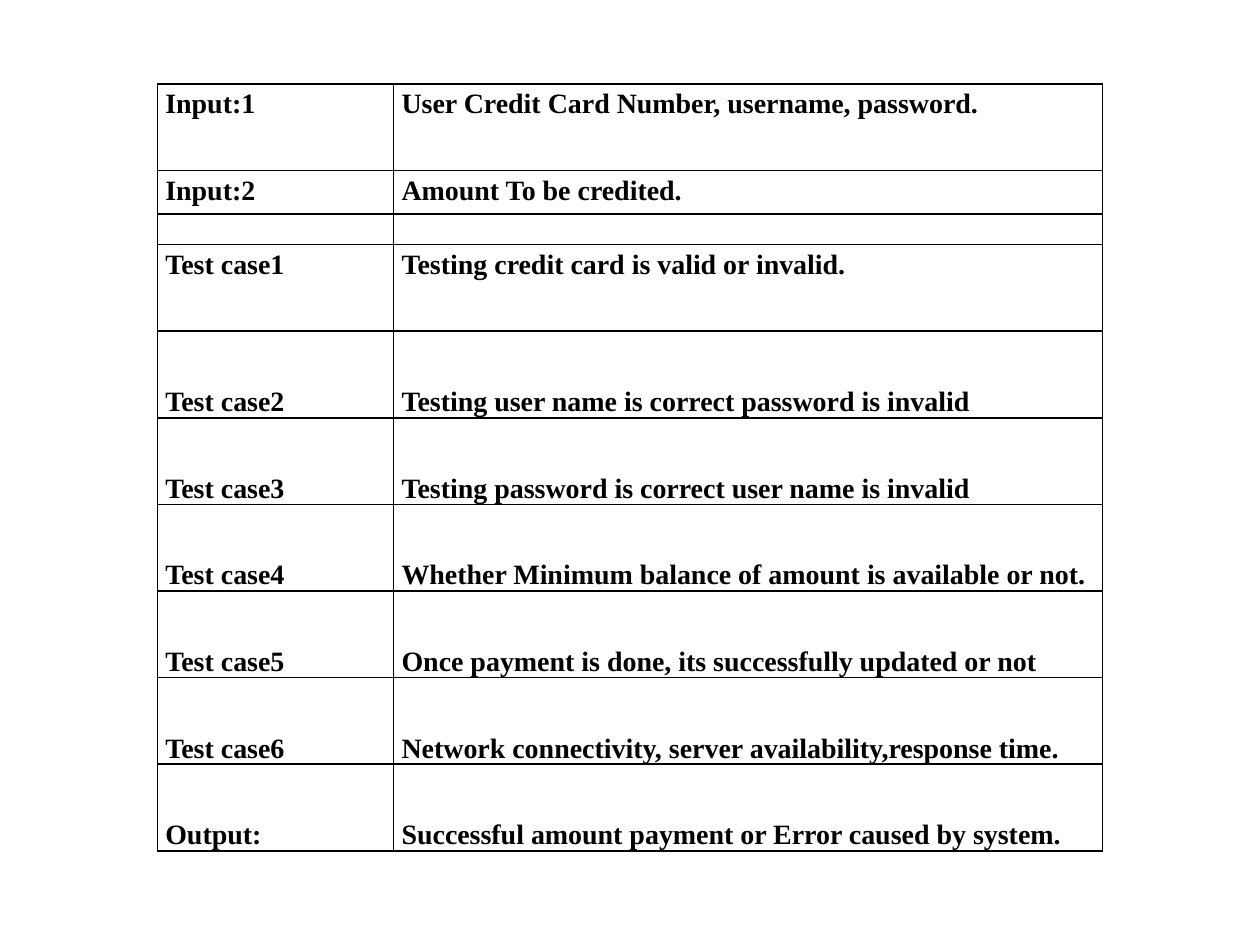
from dataclasses import dataclass

from lxml.etree import SubElement
from pptx import Presentation
from pptx.dml.color import RGBColor
from pptx.enum.text import MSO_ANCHOR
from pptx.oxml.ns import qn
from pptx.table import _Cell
from pptx.util import Pt

INK = "000000"
COLUMN_WIDTHS = (135, 405)
TALL, SHORT, SPACER = 49.5, 24.7, 17.6


@dataclass
class TestRow:
    label: str
    detail: str
    height: float = TALL
    anchor: MSO_ANCHOR = MSO_ANCHOR.BOTTOM


ROWS = [
    TestRow("Input:1", "User Credit Card Number, username, password.", anchor=MSO_ANCHOR.TOP),
    TestRow("Input:2", "Amount To be credited.", SHORT, MSO_ANCHOR.TOP),
    TestRow("", "", SPACER, MSO_ANCHOR.TOP),
    TestRow("Test case1", "Testing credit card is valid or invalid.", anchor=MSO_ANCHOR.TOP),
    TestRow("Test case2", "Testing user name is correct password is invalid"),
    TestRow("Test case3", "Testing password is correct user name is invalid"),
    TestRow("Test case4", "Whether Minimum balance of amount is available or not."),
    TestRow("Test case5", "Once payment is done, its successfully updated or not"),
    TestRow("Test case6", "Network connectivity, server availability,response time."),
    TestRow("Output:", "Successful amount payment or Error caused by system."),
]


def color(value: str) -> RGBColor:
    return RGBColor.from_string(value)


def add_borders(cell: _Cell) -> None:
    """Draw all four cell edges; call before filling, as edges precede the fill in XML."""
    properties = cell._tc.get_or_add_tcPr()
    for edge in ("a:lnL", "a:lnR", "a:lnT", "a:lnB"):
        line = SubElement(properties, qn(edge), w=str(Pt(1)))
        fill = SubElement(line, qn("a:solidFill"))
        SubElement(fill, qn("a:srgbClr"), val=INK)


def write_cell(cell: _Cell, text: str, anchor: MSO_ANCHOR) -> None:
    add_borders(cell)
    cell.fill.background()
    cell.vertical_anchor = anchor
    cell.margin_left = cell.margin_right = Pt(4.5)
    cell.margin_top = cell.margin_bottom = Pt(0)
    para = cell.text_frame.paragraphs[0]
    if not text:
        # The end mark sets the line height of an empty cell.
        SubElement(para._p, qn("a:endParaRPr"), sz="1000")
        return
    para.line_spacing = 1.15
    span = para.add_run()
    span.text = text
    span.font.name = "Times New Roman"
    span.font.size = Pt(16)
    span.font.bold = True
    span.font.color.rgb = color(INK)


def add_test_table(page, rows: list[TestRow]) -> None:
    height = sum(row.height for row in rows)
    frame = page.shapes.add_table(
        len(rows), len(COLUMN_WIDTHS), Pt(90), Pt(48), Pt(sum(COLUMN_WIDTHS)), Pt(height)
    )
    table = frame.table
    table.first_row = table.horz_banding = False
    for column, width in zip(table.columns, COLUMN_WIDTHS):
        column.width = Pt(width)
    for index, row in enumerate(rows):
        table.rows[index].height = Pt(row.height)
        for column_index, text in enumerate((row.label, row.detail)):
            write_cell(table.cell(index, column_index), text, row.anchor)


def main() -> None:
    deck = Presentation()
    deck.slide_width, deck.slide_height = Pt(720), Pt(540)
    page = deck.slides.add_slide(deck.slide_layouts[6])
    add_test_table(page, ROWS)
    deck.save("out.pptx")


if __name__ == "__main__":
    main()
